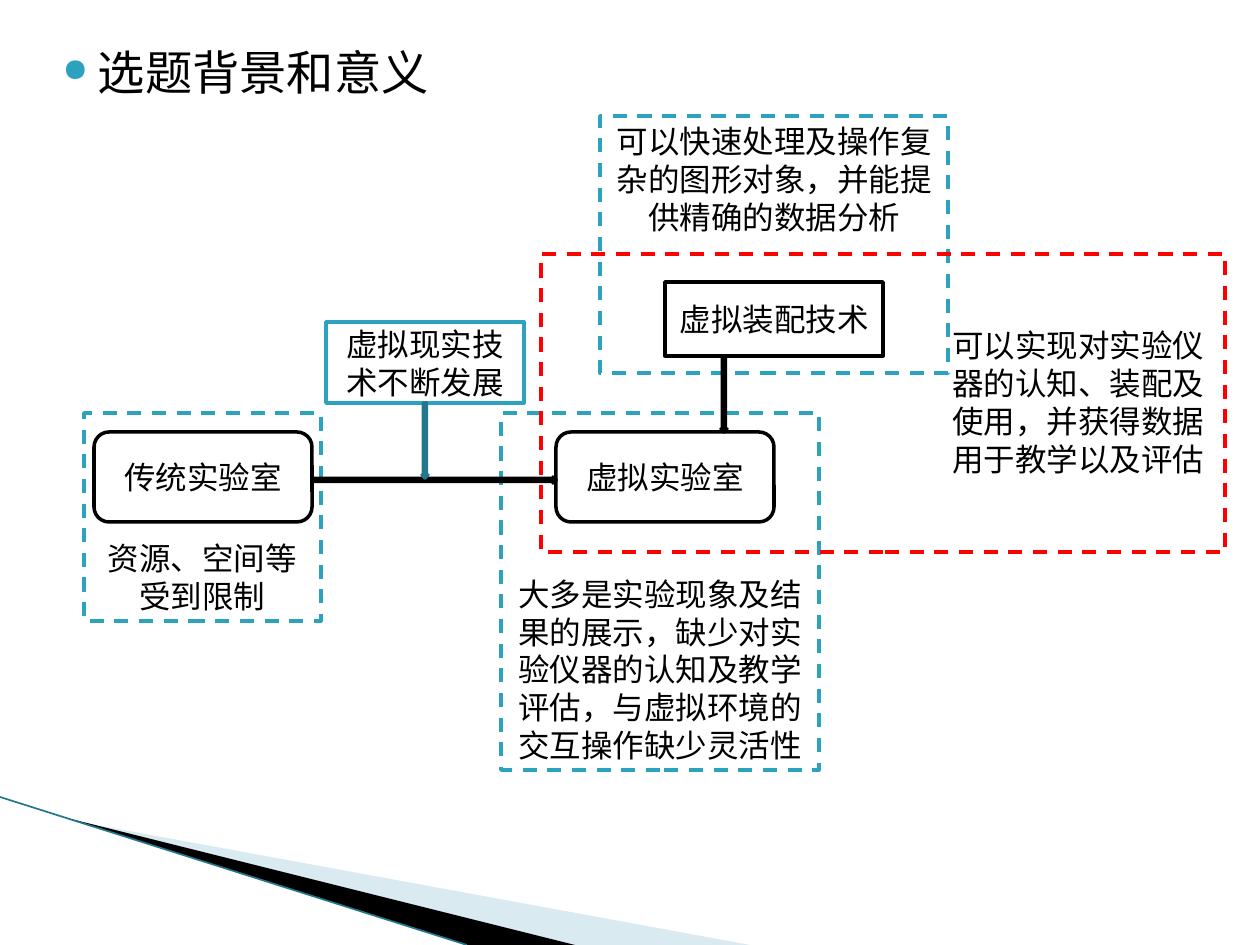
from lxml import etree
from pptx import Presentation
from pptx.dml.color import RGBColor
from pptx.enum.dml import MSO_LINE
from pptx.enum.shapes import MSO_CONNECTOR, MSO_SHAPE as SHAPE
from pptx.enum.text import MSO_ANCHOR as ANCHOR, PP_ALIGN as ALIGN
from pptx.oxml.ns import qn
from pptx.util import Pt

PX = 914400 / 126
WIDTH, HEIGHT = 1260, 945

BLACK = RGBColor(0x00, 0x00, 0x00)
WHITE = RGBColor(0xFF, 0xFF, 0xFF)
RED = RGBColor(0xFF, 0x00, 0x00)
TEAL = RGBColor(0x2D, 0xA2, 0xBF)
DARK_TEAL = RGBColor(0x21, 0x78, 0x8D)
PALE_BLUE = RGBColor(0xA0, 0xCB, 0xDC)

SANS, MONO = "Noto Sans CJK SC", "Noto Sans Mono"

TITLE = ("选题背景和意义", (35, 37, 566, 69))
GOAL = ("可以实现对实验仪器的认知、装配及使用，并获得数据用于教学以及评估",
        (940, 320, 286, 204))
GOAL_FRAME = (541, 254, 684, 298)

# Dashed groups: text, box, anchor
GROUPS = [
    ("可以快速处理及操作复杂的图形对象，并能提供精确的数据分析",
     (600, 116, 348, 257), ANCHOR.TOP),
    ("大多是实验现象及结果的展示，缺少对实验仪器的认知及教学评估，与虚拟环境的交互操作缺少灵活性",
     (501, 413, 318, 357), ANCHOR.BOTTOM),
    ("资源、空间等受到限制", (84, 413, 237, 208), ANCHOR.BOTTOM),
]
# Nodes: text, box, shape, line colour
NODES = [
    ("虚拟现实技术不断发展", (326, 322, 198, 81), SHAPE.RECTANGLE, TEAL),
    ("传统实验室", (94, 432, 218, 90), SHAPE.ROUNDED_RECTANGLE, BLACK),
    ("虚拟实验室", (556, 432, 218, 90), SHAPE.ROUNDED_RECTANGLE, BLACK),
    ("虚拟装配技术", (665, 282, 218, 74), SHAPE.RECTANGLE, BLACK),
]
# Arrows: box, shape, fill colour, line colour
ARROWS = [
    ((312, 477, 244, 6), SHAPE.RIGHT_ARROW, BLACK, BLACK),
    ((422, 403, 6, 75), SHAPE.DOWN_ARROW, TEAL, DARK_TEAL),
    ((721, 356, 6, 76), SHAPE.DOWN_ARROW, TEAL, BLACK),
]
# Corner wedges: points, fill colour, opacity in percent
WEDGES = [
    ([(69, 820), (750, 945), (575, 945), (69, 819)], PALE_BLUE, 40),
    ([(67, 818), (575, 945), (467, 945), (68, 819)], BLACK, 100),
]
EDGE = (0, 797, 467, 945)


def emu(*lengths):
    return [round(v * PX) for v in lengths]


def write(shape, text, font, size=18, align=ALIGN.CENTER, anchor=ANCHOR.MIDDLE):
    tf = shape.text_frame
    tf.word_wrap = True
    tf.vertical_anchor = anchor
    tf.text = text
    p = tf.paragraphs[0]
    p.alignment = align
    r = p.runs[0]
    r.font.name, r.font.size, r.font.color.rgb = font, Pt(size), BLACK
    etree.SubElement(r.font._element, qn("a:ea"), typeface=SANS)
    return p


def add_box(slide, kind, box, line, fill=WHITE, dashed=False):
    sp = slide.shapes.add_shape(kind, *emu(*box))
    sp.shadow.inherit = False
    if fill is None:
        sp.fill.background()
    else:
        sp.fill.solid()
        sp.fill.fore_color.rgb = fill
    sp.line.color.rgb = line
    sp.line.width = Pt(2)
    if dashed:
        sp.line.dash_style = MSO_LINE.DASH
    return sp


def add_wedge(slide, points, color, opacity):
    builder = slide.shapes.build_freeform(*points[0], scale=PX)
    builder.add_line_segments(points[1:], close=True)
    sp = builder.convert_to_shape()
    sp.shadow.inherit = False
    sp.line.fill.background()
    sp.fill.solid()
    sp.fill.fore_color.rgb = color
    if opacity < 100:
        clr = sp._element.spPr.find(".//" + qn("a:srgbClr"))
        etree.SubElement(clr, qn("a:alpha"), val=str(opacity * 1000))


def add_bullet(p):
    p.space_before = Pt(4)
    pPr = p._p.get_or_add_pPr()
    pPr.set("marL", str(round(0.4 * 914400)))
    pPr.set("indent", str(round(-0.28 * 914400)))
    clr = etree.SubElement(pPr, qn("a:buClr"))
    etree.SubElement(clr, qn("a:srgbClr"), val=str(TEAL))
    etree.SubElement(pPr, qn("a:buSzPct"), val="68000")
    etree.SubElement(pPr, qn("a:buChar"), char="●")


def main():
    prs = Presentation()
    prs.slide_width, prs.slide_height = emu(WIDTH, HEIGHT)
    s = prs.slides.add_slide(prs.slide_layouts[6])

    for wedge in WEDGES:
        add_wedge(s, *wedge)
    edge = s.shapes.add_connector(MSO_CONNECTOR.STRAIGHT, *emu(*EDGE))
    edge.line.color.rgb = DARK_TEAL
    edge.line.width = Pt(0.95)
    etree.SubElement(edge._element.spPr, qn("a:effectLst"))

    for text, box, anchor in GROUPS:
        sp = add_box(s, SHAPE.RECTANGLE, box, TEAL, dashed=True)
        write(sp, text, SANS, anchor=anchor)

    text, box = TITLE
    title = s.shapes.add_textbox(*emu(*box))
    add_bullet(write(title, text, MONO, 27, ALIGN.LEFT, ANCHOR.TOP))

    for text, box, kind, line in NODES:
        write(add_box(s, kind, box, line), text, MONO)
    for box, kind, fill, line in ARROWS:
        add_box(s, kind, box, line, fill)

    add_box(s, SHAPE.RECTANGLE, GOAL_FRAME, RED, fill=None, dashed=True)
    text, box = GOAL
    write(s.shapes.add_textbox(*emu(*box)), text, SANS,
          align=ALIGN.LEFT, anchor=ANCHOR.TOP)

    prs.save("out.pptx")


if __name__ == "__main__":
    main()
